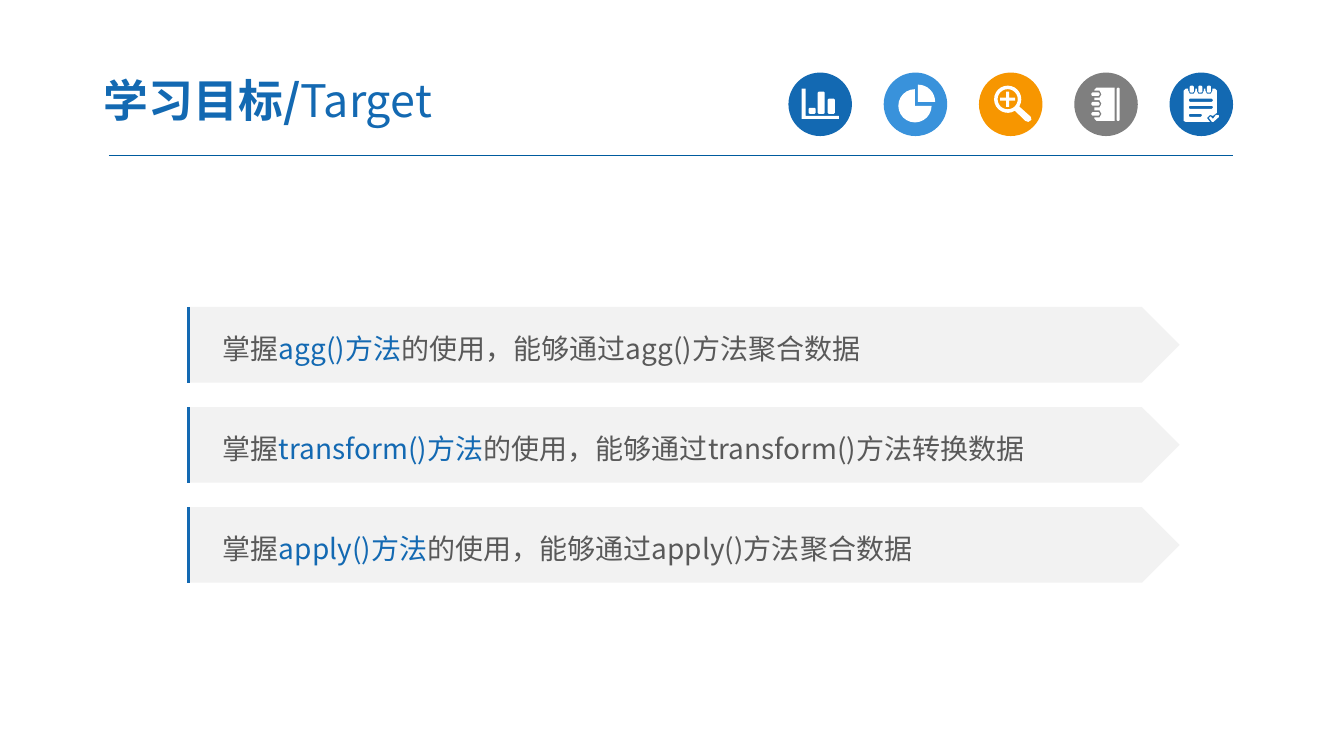
from math import cos, radians, sin

from lxml.etree import SubElement
from pptx import Presentation
from pptx.dml.color import RGBColor
from pptx.enum.shapes import MSO_CONNECTOR, MSO_SHAPE as Preset
from pptx.enum.text import MSO_ANCHOR, PP_ALIGN
from pptx.oxml.ns import qn
from pptx.util import Inches, Pt

FONT = "Noto Sans CJK SC"
BLUE = RGBColor(0x13, 0x69, 0xB2)
SKY = RGBColor(0x39, 0x92, 0xDB)
ORANGE = RGBColor(0xF7, 0x96, 0x00)
GRAY = RGBColor(0x7F, 0x7F, 0x7F)
RULE = RGBColor(0x00, 0x5B, 0x9E)
BAND = RGBColor(0xF2, 0xF2, 0xF2)
INK = RGBColor(0x59, 0x59, 0x59)
WHITE = RGBColor(0xFF, 0xFF, 0xFF)

TITLE = [("学习目标/", BLUE, True), ("Target", BLUE, False)]
GOALS = [("agg()", "聚合"), ("transform()", "转换"), ("apply()", "聚合")]

ICON_LEFT, ICON_TOP, ICON_SIZE, ICON_STEP = 7.82, 0.72, 0.63, 0.945
GOAL_LEFT, GOAL_TOP, GOAL_WIDTH, GOAL_HEIGHT, GOAL_STEP = 1.87, 3.045, 9.83, 0.75, 0.993


def bar(left, top, width, height, cut=1):
    right, bottom = left + width, top + height
    return [(left + cut, top), (right - cut, top), (right, top + cut), (right, bottom - cut),
            (right - cut, bottom), (left + cut, bottom), (left, bottom - cut), (left, top + cut)]


def arc(x, y, radius, start, end, steps):
    angles = [radians(start + (end - start) * step / steps) for step in range(steps + 1)]
    return [(x + radius * cos(angle), y + radius * sin(angle)) for angle in angles]


def notches(centers, profile):
    return [(center + along, across) for center in centers for along, across in profile]


CHART_ICON = [[(13, 16), (17, 16), (17, 43), (50, 43), (50, 46), (13, 46)]]
CHART_ICON += [bar(left, top, 7, 41 - top) for left, top in [(20, 35), (29, 19), (39, 26)]]

PIE_ICON = [[(31, 33)] + arc(31, 33, 16.5, 0, 270, 18),
            [(34, 29)] + arc(34, 29, 17, 270, 360, 8)]

LENS_X, LENS_Y = 28.5, 26.5
PLUS = [(-7.5, -1.5), (-1.5, -1.5), (-1.5, -7.5), (1.5, -7.5), (1.5, -1.5), (7.5, -1.5),
        (7.5, 1.5), (1.5, 1.5), (1.5, 7.5), (-1.5, 7.5), (-1.5, 1.5), (-7.5, 1.5)]
LENS_ICON = [
    arc(LENS_X, LENS_Y, 13.5, 58, 392, 22) + [(51.5, 44), (52, 47), (49, 49), (46, 48)],
    arc(LENS_X, LENS_Y, 10, 0, 345, 23),
    [(LENS_X + x, LENS_Y + y) for x, y in PLUS],
]

BOOK_RINGS = (41, 31, 21.5)
BOOK_NOTCH = [(3.5, 20), (3.5, 25), (0, 27), (-3.5, 25), (-3.5, 20)]
BOOK_ICON = [
    [(40, 15), (40, 48), (22, 48), (20, 46)]
    + [(x, y) for y, x in notches(BOOK_RINGS, BOOK_NOTCH)] + [(20, 17), (22, 15)],
    bar(42, 15, 3, 33),
] + [bar(17, ring - 1.75, 8, 3.5) for ring in BOOK_RINGS]

PAD_RINGS = (22, 30.5, 39)
PAD_NOTCH = [(-3.5, 16), (-3.5, 18), (-2, 21), (2, 21), (3.5, 18), (3.5, 16)]
PAD_ICON = [
    [(14, 18), (16, 16)] + notches(PAD_RINGS, PAD_NOTCH)
    + [(45, 16), (47, 18), (47, 40), (43, 43), (40, 42), (37, 45), (40, 49), (16, 49), (14, 48)],
    [(39, 45), (40.5, 43.5), (43, 46), (46, 42), (49, 42.5), (49, 44), (43.5, 49), (42, 49)],
]
PAD_ICON += [bar(19, top, width, 3) for top, width in [(26, 24), (33, 24), (41, 13)]]
PAD_ICON += [bar(ring - 2, 13, 4, 7) for ring in PAD_RINGS]

ICONS = [(BLUE, CHART_ICON), (SKY, PIE_ICON), (ORANGE, LENS_ICON),
         (GRAY, BOOK_ICON), (BLUE, PAD_ICON)]


def paint(shape, color):
    shape.shadow.inherit = False
    shape.fill.solid()
    shape.fill.fore_color.rgb = color
    shape.line.fill.background()


def add_filled(shapes, preset, left, top, width, height, color):
    shape = shapes.add_shape(preset, *map(Inches, (left, top, width, height)))
    paint(shape, color)
    return shape


def trace(shapes, outlines, closed=True):
    builder = None
    for outline in outlines:
        start, *rest = [(Inches(x), Inches(y)) for x, y in outline]
        if builder is None:
            builder = shapes.build_freeform(*start)
        else:
            builder.move_to(*start)
        builder.add_line_segments(rest, close=closed)
    return builder.convert_to_shape()


def write(box, pieces, size, spacing=None):
    frame = box.text_frame
    frame.word_wrap = True
    frame.vertical_anchor = MSO_ANCHOR.MIDDLE
    para = frame.paragraphs[0]
    para.alignment = PP_ALIGN.LEFT
    if spacing:
        para.line_spacing = spacing
    for words, color, bold in pieces:
        span = para.add_run()
        span.text = words
        span.font.name = FONT
        span.font.size = Pt(size)
        span.font.bold = bold
        span.font.color.rgb = color
        SubElement(span.font._element, qn("a:ea"), typeface=FONT)


def add_icon(page, left, color, outlines):
    shapes = page.shapes.add_group_shape().shapes
    add_filled(shapes, Preset.OVAL, left, ICON_TOP, ICON_SIZE, ICON_SIZE, color)
    placed = [[(left + x / 100, ICON_TOP + y / 100) for x, y in outline] for outline in outlines]
    paint(trace(shapes, placed), WHITE)


def add_goal(page, top, method, action):
    shapes = page.shapes.add_group_shape().shapes
    band = add_filled(shapes, Preset.PENTAGON, GOAL_LEFT, top, GOAL_WIDTH, GOAL_HEIGHT, BAND)
    band.text_frame.margin_left = Inches(0.34)
    write(band, [("掌握", INK, False), (f"{method}方法", BLUE, False),
                 (f"的使用，能够通过{method}方法{action}数据", INK, False)], 20, 1.2)
    edge = trace(shapes, [[(GOAL_LEFT, top + GOAL_HEIGHT), (GOAL_LEFT, top)]], closed=False)
    edge.shadow.inherit = False
    edge.fill.background()
    edge.line.color.rgb = BLUE
    edge.line.width = Pt(1.5)


def main():
    deck = Presentation()
    deck.slide_width, deck.slide_height = Inches(13.33), Inches(7.5)
    page = deck.slides.add_slide(deck.slide_layouts[6])

    rule = page.shapes.add_connector(MSO_CONNECTOR.STRAIGHT, *map(Inches, (1.08, 1.54, 12.23, 1.54)))
    rule.line.color.rgb = RULE
    rule.line.width = Pt(0.75)
    SubElement(rule._element.spPr, qn("a:effectLst"))
    for column, (color, outlines) in enumerate(ICONS):
        add_icon(page, ICON_LEFT + column * ICON_STEP, color, outlines)

    title = page.shapes.add_textbox(*map(Inches, (0.9, 0.63, 5.22, 0.72)))
    title.text_frame.margin_left = title.text_frame.margin_right = Inches(0.13)
    title.text_frame.margin_top = title.text_frame.margin_bottom = Inches(0.07)
    write(title, TITLE, 32)

    for row, (method, action) in enumerate(GOALS):
        add_goal(page, GOAL_TOP + row * GOAL_STEP, method, action)
    deck.save("out.pptx")


if __name__ == "__main__":
    main()
